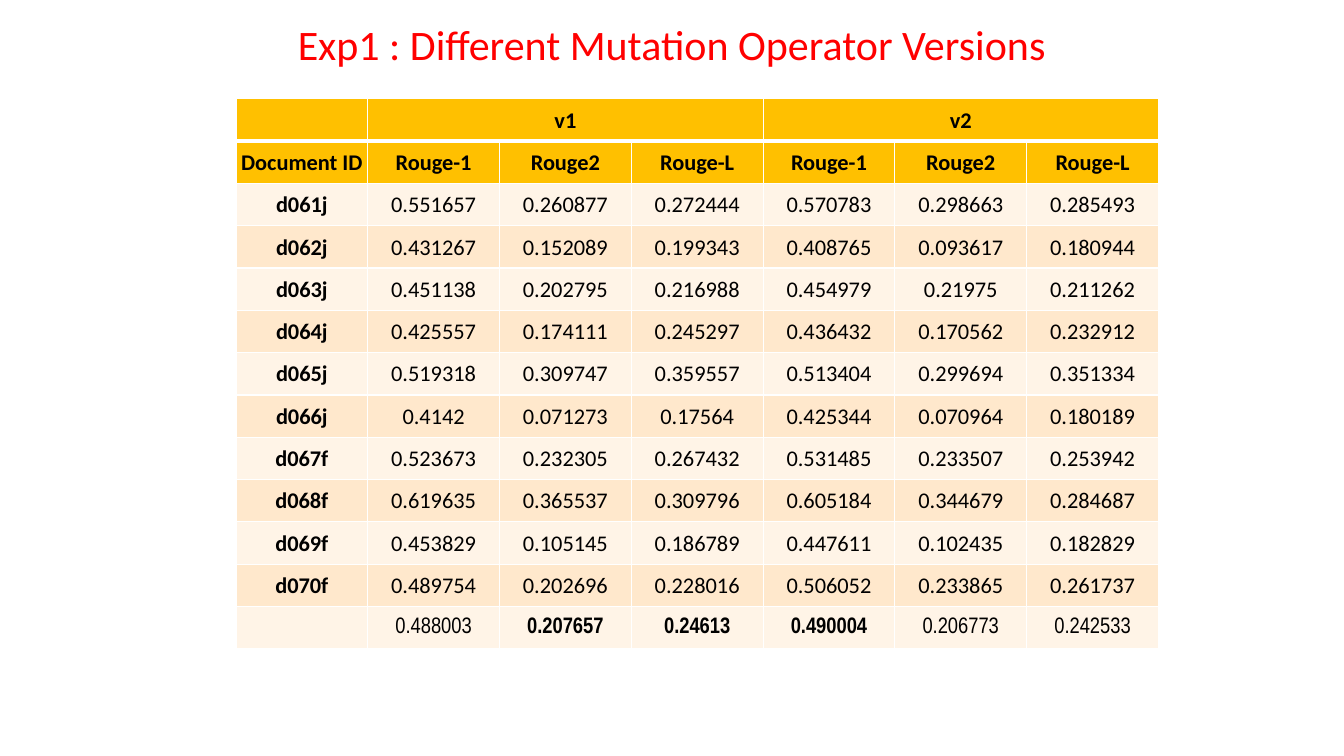
"""Build a slide with a table of Rouge scores for two mutation operator versions."""
from lxml import etree
from pptx import Presentation
from pptx.dml.color import RGBColor
from pptx.enum.text import MSO_ANCHOR, PP_ALIGN
from pptx.oxml.ns import qn
from pptx.util import Inches, Pt

MIDDLE, TOP = MSO_ANCHOR.MIDDLE, MSO_ANCHOR.TOP
CENTER = PP_ALIGN.CENTER

TITLE = "Exp1 : Different Mutation Operator Versions"
ROWS = [
    ("", "v1", "", "", "v2", "", ""),
    ("Document ID",) + ("Rouge-1", "Rouge2", "Rouge-L") * 2,
    ("d061j", "0.551657", "0.260877", "0.272444", "0.570783", "0.298663", "0.285493"),
    ("d062j", "0.431267", "0.152089", "0.199343", "0.408765", "0.093617", "0.180944"),
    ("d063j", "0.451138", "0.202795", "0.216988", "0.454979", "0.21975", "0.211262"),
    ("d064j", "0.425557", "0.174111", "0.245297", "0.436432", "0.170562", "0.232912"),
    ("d065j", "0.519318", "0.309747", "0.359557", "0.513404", "0.299694", "0.351334"),
    ("d066j", "0.4142", "0.071273", "0.17564", "0.425344", "0.070964", "0.180189"),
    ("d067f", "0.523673", "0.232305", "0.267432", "0.531485", "0.233507", "0.253942"),
    ("d068f", "0.619635", "0.365537", "0.309796", "0.605184", "0.344679", "0.284687"),
    ("d069f", "0.453829", "0.105145", "0.186789", "0.447611", "0.102435", "0.182829"),
    ("d070f", "0.489754", "0.202696", "0.228016", "0.506052", "0.233865", "0.261737"),
    ("", "0.488003", "0.207657", "0.24613", "0.490004", "0.206773", "0.242533"),
]
LAST = len(ROWS) - 1
HEADS = 2
BEST = (2, 3, 4)
GOLD, BANDS = "FFC000", ("FFF4E7", "FFE8CC")
COL_W, ROW_H = 9.15 / 7, 0.42


def color(code):
    """Turn a hex string into a colour."""
    return RGBColor.from_string(code)


def write(frame, text, size, code, font="Calibri", bold=False):
    """Put one centred run into a text frame."""
    para = frame.paragraphs[0]
    para.alignment = CENTER
    run = para.add_run()
    run.text = text
    run.font.size, run.font.name, run.font.bold = Pt(size), font, bold
    run.font.color.rgb = color(code)
    return para


def edge(cell, side, width):
    """Draw one white cell border."""
    props = cell._tc.get_or_add_tcPr()
    line = etree.SubElement(props, qn("a:ln" + side), w=str(Pt(width)))
    fill = etree.SubElement(line, qn("a:solidFill"))
    etree.SubElement(fill, qn("a:srgbClr"), val="FFFFFF")


def style(cell, row, col):
    """Set the borders, fill, margins and text of one cell."""
    for side in "LRTB":
        thick = (row, side) in ((0, "B"), (1, "T"))
        edge(cell, side, 3 if thick else 1)
    cell.fill.solid()
    cell.fill.fore_color.rgb = color(GOLD if row < HEADS else BANDS[row % 2])
    cell.margin_left = cell.margin_right = cell.margin_top = Inches(0.01)
    cell.margin_bottom = 0
    cell.vertical_anchor = MIDDLE
    text = ROWS[row][col]
    if text:
        bold = row < HEADS or col == 0 or (row == LAST and col in BEST)
        font = "Arial Narrow" if row == LAST else "Calibri"
        write(cell.text_frame, text, 16, "000000", font, bold)


def main():
    """Build and save the slide."""
    deck = Presentation()
    deck.slide_width, deck.slide_height = Inches(13.33), Inches(7.5)
    slide = deck.slides.add_slide(deck.slide_layouts[6])

    cols = len(ROWS[0])
    grid = slide.shapes.add_table(
        len(ROWS), cols, Inches(2.34), Inches(0.98),
        Inches(COL_W * cols), Inches(ROW_H * len(ROWS))).table
    grid.first_row = grid.horz_banding = False
    for part in grid.columns:
        part.width = Inches(COL_W)
    for part in grid.rows:
        part.height = Inches(ROW_H)
    for row in range(len(ROWS)):
        for col in range(cols):
            style(grid.cell(row, col), row, col)
    for col in (1, 4):
        grid.cell(0, col).merge(grid.cell(0, col + 2))

    box = slide.shapes.add_textbox(0, Inches(0.21), Inches(13.33), Inches(0.97))
    frame = box.text_frame
    frame.word_wrap = True
    frame.vertical_anchor = TOP
    frame.margin_top = Inches(0.03)
    write(frame, TITLE, 30, "FF0000").line_spacing = 0.9

    deck.save("out.pptx")


if __name__ == "__main__":
    main()
